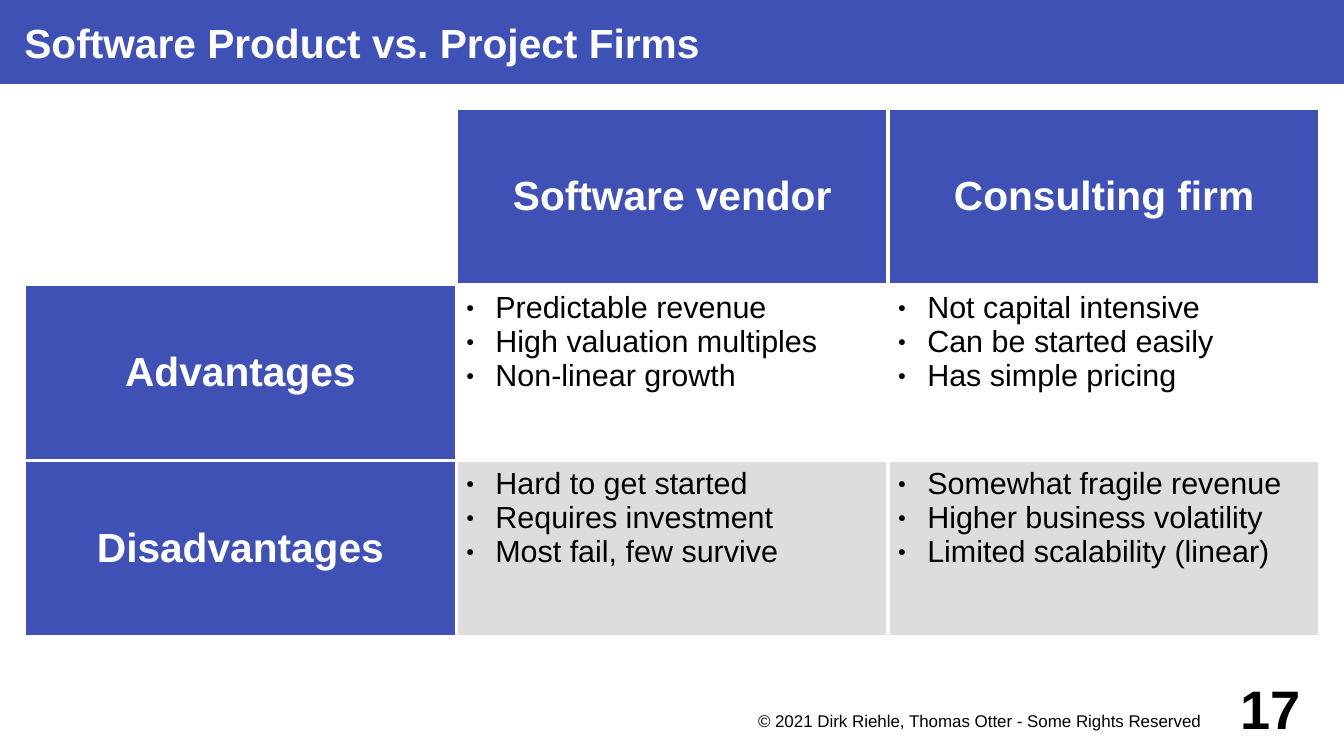
from dataclasses import dataclass

from lxml import etree
from pptx import Presentation
from pptx.dml.color import RGBColor
from pptx.enum.shapes import MSO_SHAPE
from pptx.enum.text import MSO_ANCHOR, PP_ALIGN
from pptx.oxml.ns import qn
from pptx.util import Pt

RECT = MSO_SHAPE.RECTANGLE
TOP, MIDDLE = MSO_ANCHOR.TOP, MSO_ANCHOR.MIDDLE
LEFT, CENTER, RIGHT = PP_ALIGN.LEFT, PP_ALIGN.CENTER, PP_ALIGN.RIGHT


@dataclass(frozen=True)
class Theme:
    font: str = "Arial"
    blue: str = "3F51B5"
    gray: str = "DDDDDD"
    white: str = "FFFFFF"
    black: str = "000000"
    head: int = 24
    body: int = 18
    foot: int = 10
    page: int = 32
    rule: float = 2.27
    indent: float = 17.3


THEME = Theme()
WIDTH, HEIGHT = 793.44, 446.4
EDGE = 14.4
COL, ROW = 255, 104

HEADS = ["Software vendor", "Consulting firm"]
ROWS = [
    ("Advantages", THEME.white, [
        ["Predictable revenue", "High valuation multiples", "Non-linear growth"],
        ["Not capital intensive", "Can be started easily", "Has simple pricing"],
    ]),
    ("Disadvantages", THEME.gray, [
        ["Hard to get started", "Requires investment", "Most fail, few survive"],
        ["Somewhat fragile revenue", "Higher business volatility",
         "Limited scalability (linear)"],
    ]),
]


def add_bullet(para):
    props = para._p.get_or_add_pPr()
    props.set("marL", str(Pt(THEME.indent)))
    props.set("indent", str(-Pt(THEME.indent)))
    color = etree.SubElement(props, qn("a:buClr"))
    etree.SubElement(color, qn("a:srgbClr"), val=THEME.black)
    etree.SubElement(props, qn("a:buSzPct"), val="45000")
    etree.SubElement(props, qn("a:buFont"), typeface=THEME.font)
    etree.SubElement(props, qn("a:buChar"), char="●")


def put_text(frame, lines, size=THEME.body, color=THEME.black, bold=False,
             align=LEFT, bullet=False):
    for index, line in enumerate(lines):
        para = frame.add_paragraph() if index else frame.paragraphs[0]
        para.alignment = align
        if bullet:
            add_bullet(para)
        run = para.add_run()
        run.text = line
        font = run.font
        font.name, font.size, font.bold = THEME.font, Pt(size), bold
        font.color.rgb = RGBColor.from_string(color)


def set_frame(frame, insets, anchor):
    frame.word_wrap = True
    frame.vertical_anchor = anchor
    (frame.margin_left, frame.margin_top,
     frame.margin_right, frame.margin_bottom) = map(Pt, insets)


def add_title(slide, text):
    bar = slide.shapes.add_shape(RECT, 0, 0, Pt(WIDTH), Pt(49.6))
    bar.shadow.inherit = False
    bar.fill.solid()
    bar.fill.fore_color.rgb = RGBColor.from_string(THEME.blue)
    bar.line.fill.background()
    set_frame(bar.text_frame, (EDGE, 0, 0, 0), MIDDLE)
    put_text(bar.text_frame, [text], size=THEME.head, color=THEME.white, bold=True)


def add_label(slide, text, box, insets, anchor, **style):
    label = slide.shapes.add_textbox(*map(Pt, box))
    set_frame(label.text_frame, insets, anchor)
    put_text(label.text_frame, [text], align=RIGHT, **style)


def set_cell(cell, fill, lines=(), anchor=TOP, **style):
    cell.fill.solid()
    cell.fill.fore_color.rgb = RGBColor.from_string(fill)
    cell.margin_left = cell.margin_right = Pt(5.8)
    cell.margin_top = cell.margin_bottom = Pt(3.6)
    cell.vertical_anchor = anchor
    put_text(cell.text_frame, lines, **style)
    props = cell._tc.get_or_add_tcPr()
    for index, side in enumerate("LRTB"):
        line = etree.Element(qn(f"a:ln{side}"), w=str(Pt(THEME.rule)))
        paint = etree.SubElement(line, qn("a:solidFill"))
        etree.SubElement(paint, qn("a:srgbClr"), val=THEME.white)
        props.insert(index, line)


def set_head(cell, text):
    set_cell(cell, THEME.blue, [text], anchor=MIDDLE, size=THEME.head,
             color=THEME.white, bold=True, align=CENTER)


def add_grid(slide):
    count, width = len(ROWS) + 1, len(HEADS) + 1
    table = slide.shapes.add_table(count, width, Pt(EDGE), Pt(64),
                                   Pt(COL * width), Pt(ROW * count)).table
    table.first_row = table.horz_banding = False
    for col in table.columns:
        col.width = Pt(COL)
    for row in table.rows:
        row.height = Pt(ROW)
    set_cell(table.cell(0, 0), THEME.white)
    for col, text in enumerate(HEADS, 1):
        set_head(table.cell(0, col), text)
    for row, (name, fill, lists) in enumerate(ROWS, 1):
        set_head(table.cell(row, 0), name)
        for col, lines in enumerate(lists, 1):
            set_cell(table.cell(row, col), fill, lines, bullet=True)


def main():
    deck = Presentation()
    deck.slide_width, deck.slide_height = Pt(WIDTH), Pt(HEIGHT)
    slide = deck.slides.add_slide(deck.slide_layouts[6])
    add_title(slide, "Software Product vs. Project Firms")
    add_grid(slide)
    add_label(slide, "© 2021 Dirk Riehle, Thomas Otter - Some Rights Reserved",
              (425.5, 418.3, 312, 21.6), (0, 1.4, 28.8, 0), TOP, size=THEME.foot)
    add_label(slide, "17", (723, 396.8, 57, 42.5), (0, 0, 12, 0), MIDDLE,
              size=THEME.page, bold=True)
    deck.save("out.pptx")


if __name__ == "__main__":
    main()
